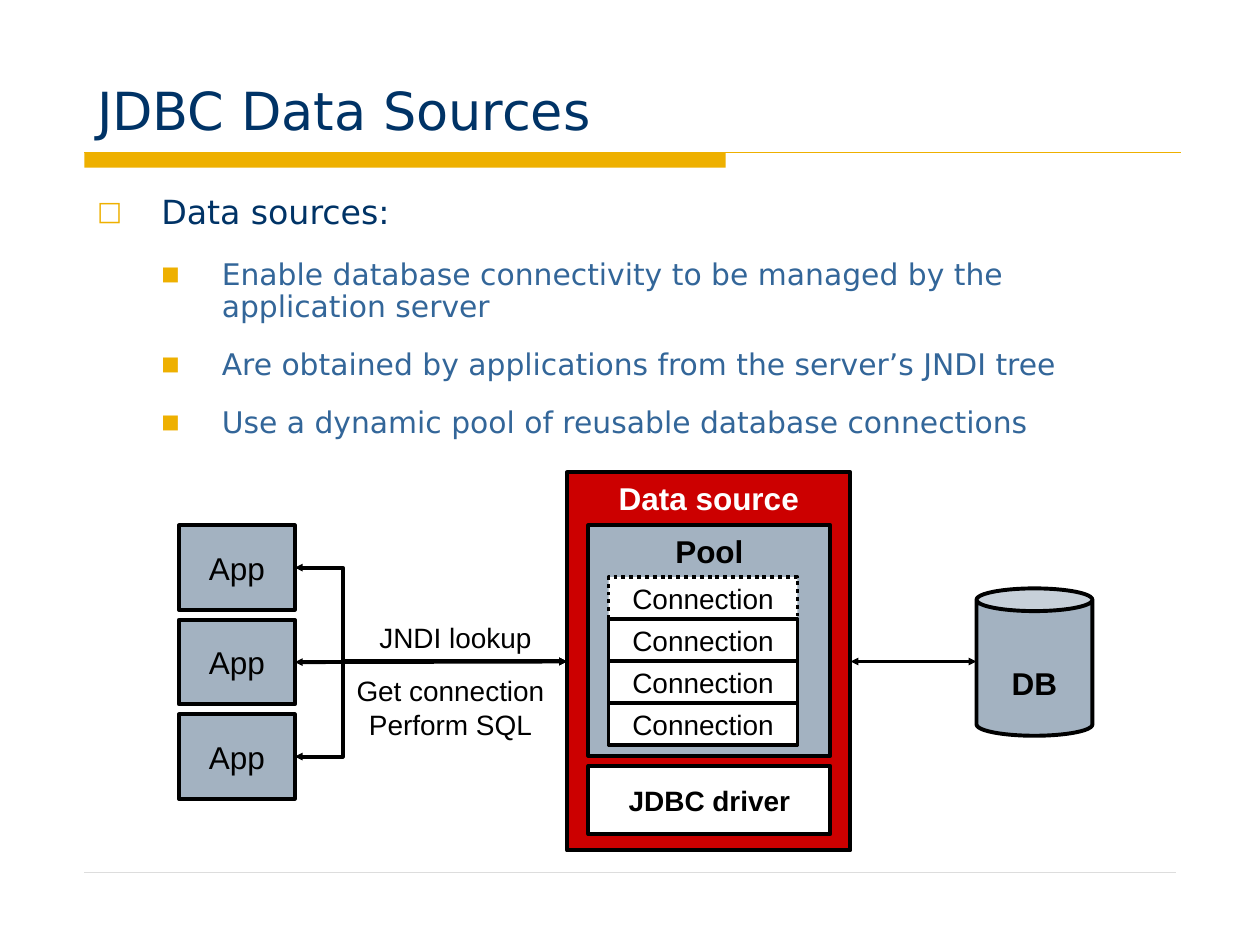
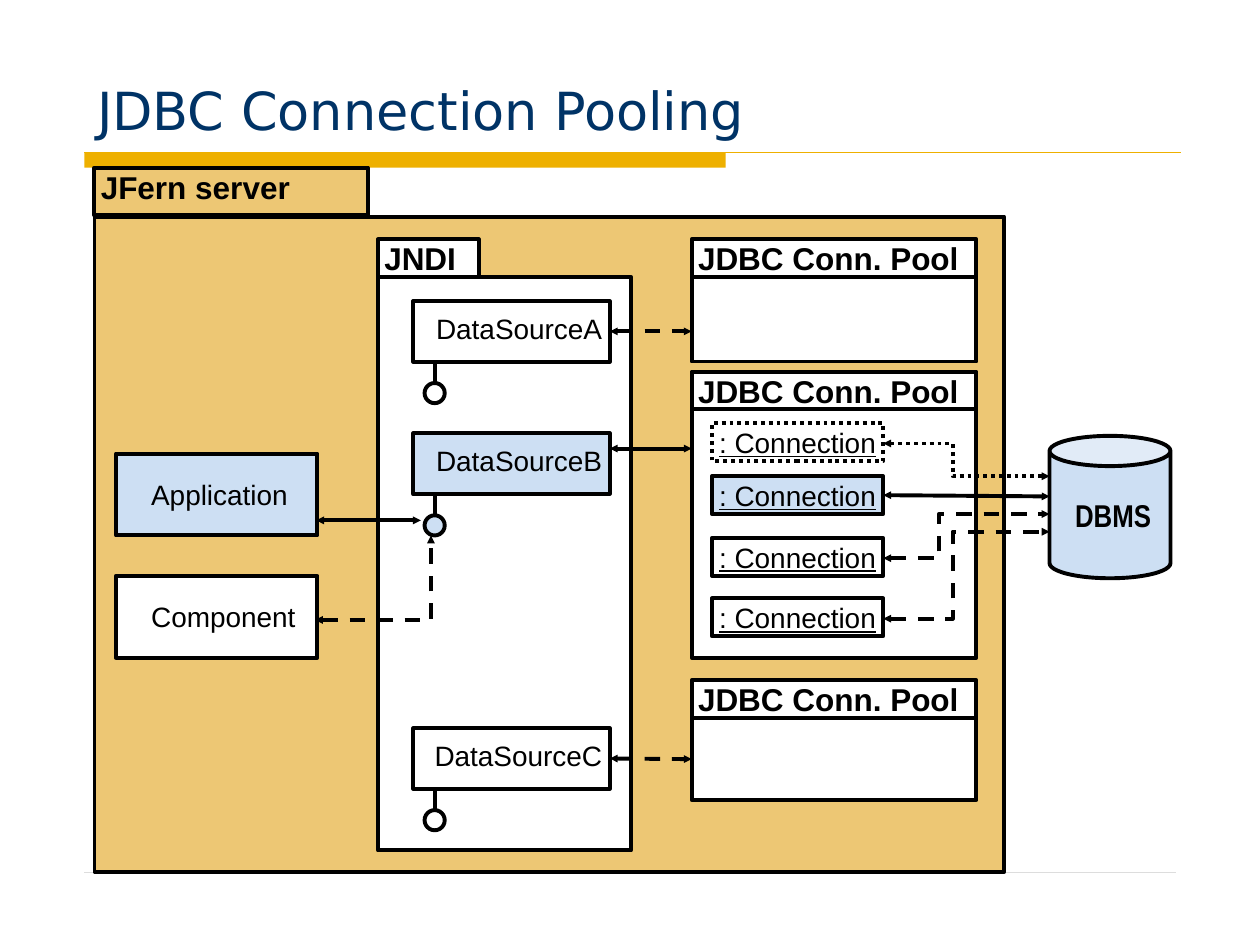
from lxml import etree
from pptx import Presentation
from pptx.dml.color import RGBColor
from pptx.enum import dml, shapes, text
from pptx.oxml import ns
from pptx.util import Inches, Pt

COLORS = {
    "navy": "003366", "steel": "336699", "gold": "EEB000", "rule": "DDDDDD",
    "red": "CC0000", "gray": "A3B2C1", "sand": "EDC774", "sky": "CDDFF3",
    "white": "FFFFFF", "black": "000000",
}
HEADING_FONT = "DejaVu Sans"
DIAGRAM_FONT = "Arial"
DOT = dml.MSO_LINE.ROUND_DOT
DASH = dml.MSO_LINE.DASH
LEFT, CENTER, RIGHT = text.PP_ALIGN.LEFT, text.PP_ALIGN.CENTER, text.PP_ALIGN.RIGHT
TOP, MIDDLE, BOTTOM = text.MSO_ANCHOR.TOP, text.MSO_ANCHOR.MIDDLE, text.MSO_ANCHOR.BOTTOM
RECT, CAN, OVAL = (shapes.MSO_SHAPE.RECTANGLE, shapes.MSO_SHAPE.CAN, shapes.MSO_SHAPE.OVAL)
LEFT_SIDE, RIGHT_SIDE = 1, 3
INSETS = (0.1, 0.05, 0.1, 0.05)
TAB_INSETS = (0.05, 0, 0.05, 0.05)

SOURCES_TITLE = "JDBC Data Sources"
POOLING_TITLE = "JDBC Connection Pooling"
BULLETS = [
    (0, "Data sources:"),
    (1, "Enable database connectivity to be managed by the application server"),
    (1, "Are obtained by applications from the server’s JNDI tree"),
    (1, "Use a dynamic pool of reusable database connections"),
]
LEVELS = [
    {"char": "□", "scale": 80, "margin": 0.51, "hang": 0.51, "size": 19,
     "color": "navy", "before": 4.8, "after": 11.9},
    {"char": "■", "scale": 65, "margin": 0.99, "hang": 0.48, "size": 17,
     "color": "steel", "before": 4.2, "after": 10.6},
]
CALLS = [
    ("JNDI lookup", (2.91, 4.88, 1.41, 0.37)),
    ("Get connection\nPerform SQL", (2.73, 5.3, 1.69, 0.64)),
]
APP_TOPS = [4.17, 4.92, 5.67]
POOL_SLOTS = 4
POOLS = [(1.9, 0.67), (2.95, 1.97), (5.4, 0.65)]
DATA_SOURCES = [
    ("DataSourceA", 2.39, None),
    ("DataSourceB", 3.44, "sky"),
    ("DataSourceC", 5.78, None),
]
CLIENTS = [("Application", 3.6, "sky"), ("Component", 4.57, "white")]
CONNECTIONS = [
    (3.36, "white", DOT), (3.78, "sky", None), (4.27, "white", None), (4.75, "white", None),
]
ROUTES = [
    ([(7.01, 3.52), (7.56, 3.52), (7.56, 3.78), (8.33, 3.78)], DOT),
    ([(7.01, 4.43), (7.45, 4.43), (7.45, 4.08), (8.33, 4.08)], DASH),
    ([(7.01, 4.91), (7.56, 4.91), (7.56, 4.22), (8.33, 4.22)], DASH),
    ([(2.5, 4.92), (3.42, 4.92), (3.42, 4.25)], DASH),
]


def rgb(name):
    return RGBColor.from_string(COLORS[name])


def write(para, words, size=16, color="black", font=DIAGRAM_FONT, bold=False,
          underline=False, align=CENTER):
    para.text = words
    para.alignment = align
    for span in para.runs:
        span.font.size = Pt(size)
        span.font.name = font
        span.font.bold = bold
        span.font.underline = underline
        span.font.color.rgb = rgb(color)


def set_frame(box, anchor=MIDDLE, insets=INSETS, wrap=True):
    frame = box.text_frame
    frame.auto_size = text.MSO_AUTO_SIZE.NONE
    frame.word_wrap = wrap
    frame.vertical_anchor = anchor
    (frame.margin_left, frame.margin_top,
     frame.margin_right, frame.margin_bottom) = map(Inches, insets)
    return frame


def place(box, area):
    box.left, box.top, box.width, box.height = map(Inches, area)


def set_line(box, color="black", width=2.25, dash=None, arrows=False):
    box.line.color.rgb = rgb(color)
    box.line.width = Pt(width)
    if dash is not None:
        box.line.dash_style = dash
    if arrows:
        outline = box.element.spPr.find(ns.qn("a:ln"))
        for end in ("a:headEnd", "a:tailEnd"):
            etree.SubElement(outline, ns.qn(end), type="triangle", w="sm", len="sm")


def add_block(page, area, fill, words="", kind=RECT, dash=None, anchor=MIDDLE,
              insets=INSETS, wrap=False, **style):
    box = page.shapes.add_shape(kind, *map(Inches, area))
    box.shadow.inherit = False
    if fill:
        box.fill.solid()
        box.fill.fore_color.rgb = rgb(fill)
    else:
        box.fill.background()
    set_line(box, dash=dash)
    if words:
        write(set_frame(box, anchor, insets, wrap).paragraphs[0], words, **style)
    return box


def add_link(page, start, end, source=None, target=None, bend=None, color="black",
             width=2.25, dash=None, arrows=True):
    kind = shapes.MSO_CONNECTOR.ELBOW if bend else shapes.MSO_CONNECTOR.STRAIGHT
    link = page.shapes.add_connector(kind, *map(Inches, start + end))
    if source is not None:
        link.begin_connect(source, RIGHT_SIDE)
    if target is not None:
        link.end_connect(target, LEFT_SIDE)
    set_line(link, color, width, dash, arrows)
    etree.SubElement(link.element.spPr, ns.qn("a:effectLst"))
    if bend:
        guides = link.element.spPr.find(ns.qn("a:prstGeom")).find(ns.qn("a:avLst"))
        etree.SubElement(guides, ns.qn("a:gd"), name="adj1", fmla=f"val {bend}")
    return link


def add_route(page, points, dash):
    corners = [tuple(map(Inches, point)) for point in points]
    builder = page.shapes.build_freeform(*corners[0], scale=1.0)
    builder.add_line_segments(corners[1:], close=False)
    route = builder.convert_to_shape()
    route.shadow.inherit = False
    route.fill.background()
    set_line(route, dash=dash, arrows=True)


def add_page(deck, layout, title):
    page = deck.slides.add_slide(deck.slide_layouts[layout])
    box = page.shapes.title
    place(box, (0.67, 0.17, 8.75, 1))
    write(set_frame(box, BOTTOM).paragraphs[0], title, size=30, color="navy",
          font=HEADING_FONT, align=LEFT)
    return page


def decorate_master(deck, page):
    band = add_block(page, (0.67, 1.21, 5.09, 0.12), "gold")
    band.line.fill.background()
    rule = add_link(page, (0.67, 1.21), (9.37, 1.21), color="gold", width=0.75, arrows=False)
    footer = add_link(page, (0.67, 6.92), (9.33, 6.92), color="rule", width=0.25, arrows=False)
    for part in (band, rule, footer):
        deck.slide_master.shapes.element.append(part.element)


def add_bullets(page):
    body = page.placeholders[1]
    place(body, (0.67, 1.5, 8.66, 2.08))
    frame = set_frame(body, TOP)
    for index, (level, words) in enumerate(BULLETS):
        para = frame.add_paragraph() if index else frame.paragraphs[0]
        look = LEVELS[level]
        write(para, words, size=look["size"], color=look["color"], font=HEADING_FONT, align=LEFT)
        para.level = level
        para.line_spacing = 0.9
        para.space_before = Pt(look["before"])
        para.space_after = Pt(look["after"])
        props = para._p.get_or_add_pPr()
        props.set("marL", str(Inches(look["margin"])))
        props.set("indent", str(-Inches(look["hang"])))
        tint = etree.SubElement(props, ns.qn("a:buClr"))
        etree.SubElement(tint, ns.qn("a:srgbClr"), val=COLORS["gold"])
        etree.SubElement(props, ns.qn("a:buSzPct"), val=str(look["scale"] * 1000))
        etree.SubElement(props, ns.qn("a:buFont"), typeface=HEADING_FONT)
        etree.SubElement(props, ns.qn("a:buChar"), char=look["char"])


def draw_data_source(page):
    source = add_block(page, (4.5, 3.75, 2.25, 3), "red", "Data source", anchor=TOP,
                       size=18, color="white", bold=True)
    add_block(page, (4.67, 4.17, 1.92, 1.83), "gray", "Pool", anchor=TOP, size=18, bold=True)
    add_block(page, (4.67, 6.08, 1.92, 0.54), "white", "JDBC driver", bold=True)
    for slot in range(POOL_SLOTS):
        add_block(page, (4.83, 4.58 + slot / 3, 1.5, 0.33), "white", "Connection",
                  dash=None if slot else DOT)
    for top in APP_TOPS:
        app = add_block(page, (1.42, top, 0.92, 0.67), "gray", "App", size=18)
        add_link(page, (2.34, top + 0.33), (4.5, 5.25), app, source,
                 bend=None if top == APP_TOPS[1] else 17600)
    database = add_block(page, (7.75, 4.67, 0.92, 1.17), "gray", "DB", kind=CAN, anchor=TOP,
                         insets=(0.1, 0.42, 0.1, 0.05), size=18, bold=True)
    database.adjustments[0] = 0.196
    add_link(page, (6.75, 5.25), (7.75, 5.25), source)
    for words, area in CALLS:
        label = page.shapes.add_textbox(*map(Inches, area))
        write(set_frame(label, TOP, wrap=False).paragraphs[0], words)


def draw_tab(page, area, fill, words):
    add_block(page, area, fill, words, anchor=TOP, insets=TAB_INSETS, size=18,
              bold=True, align=LEFT)


def draw_pooling(page):
    draw_tab(page, (0.75, 1.33, 2.17, 0.38), "sand", "JFern server")
    add_block(page, (0.75, 1.72, 7.22, 5.2), "sand")
    draw_tab(page, (3, 1.9, 0.8, 0.3), "white", "JNDI")
    add_block(page, (3, 2.2, 2.01, 4.55), "white")
    database = add_block(page, (8.33, 3.46, 0.96, 1.13), "sky", "DBMS", kind=CAN,
                         insets=(0.05, 0.05, 0, 0.05), size=18, bold=True, font="Arial Narrow")
    database.adjustments[0] = 0.25

    pools = []
    for top, height in POOLS:
        pools.append(add_block(page, (5.49, top + 0.3, 2.26, height), "white"))
        draw_tab(page, (5.49, top, 2.26, 0.3), "white", "JDBC Conn. Pool")

    sources = []
    for words, top, fill in DATA_SOURCES:
        sources.append(add_block(page, (3.28, top, 1.56, 0.48), fill, words,
                                 insets=(0.05, 0, 0.06, 0.05), align=RIGHT))
        add_block(page, (3.37, top + 0.65, 0.16, 0.16), fill, kind=OVAL)
        add_link(page, (3.45, top + 0.48), (3.45, top + 0.65), arrows=False)
    add_link(page, (4.84, 2.63), (5.49, 2.63), sources[0], dash=DASH)
    add_link(page, (4.84, 3.56), (5.49, 3.56))
    add_link(page, (4.84, 6.03), (5.49, 6.03), sources[2], pools[2], dash=DASH)

    for words, top, fill in CLIENTS:
        add_block(page, (0.92, top, 1.6, 0.65), fill, words,
                  insets=(0.28, 0.05, 0, 0.05), align=LEFT)
    add_link(page, (2.51, 4.13), (3.34, 4.13))

    slots = [add_block(page, (5.65, top, 1.36, 0.3), fill, ": Connection", dash=dash,
                       underline=True)
             for top, fill, dash in CONNECTIONS]
    add_link(page, (7.01, 3.94), (8.33, 3.94), slots[1])
    for points, dash in ROUTES:
        add_route(page, points, dash)


def main():
    deck = Presentation()
    deck.slide_width, deck.slide_height = Inches(10), Inches(7.5)
    sources_page = add_page(deck, 1, SOURCES_TITLE)
    decorate_master(deck, sources_page)
    add_bullets(sources_page)
    draw_data_source(sources_page)
    draw_pooling(add_page(deck, 5, POOLING_TITLE))
    deck.save("out.pptx")


if __name__ == "__main__":
    main()
